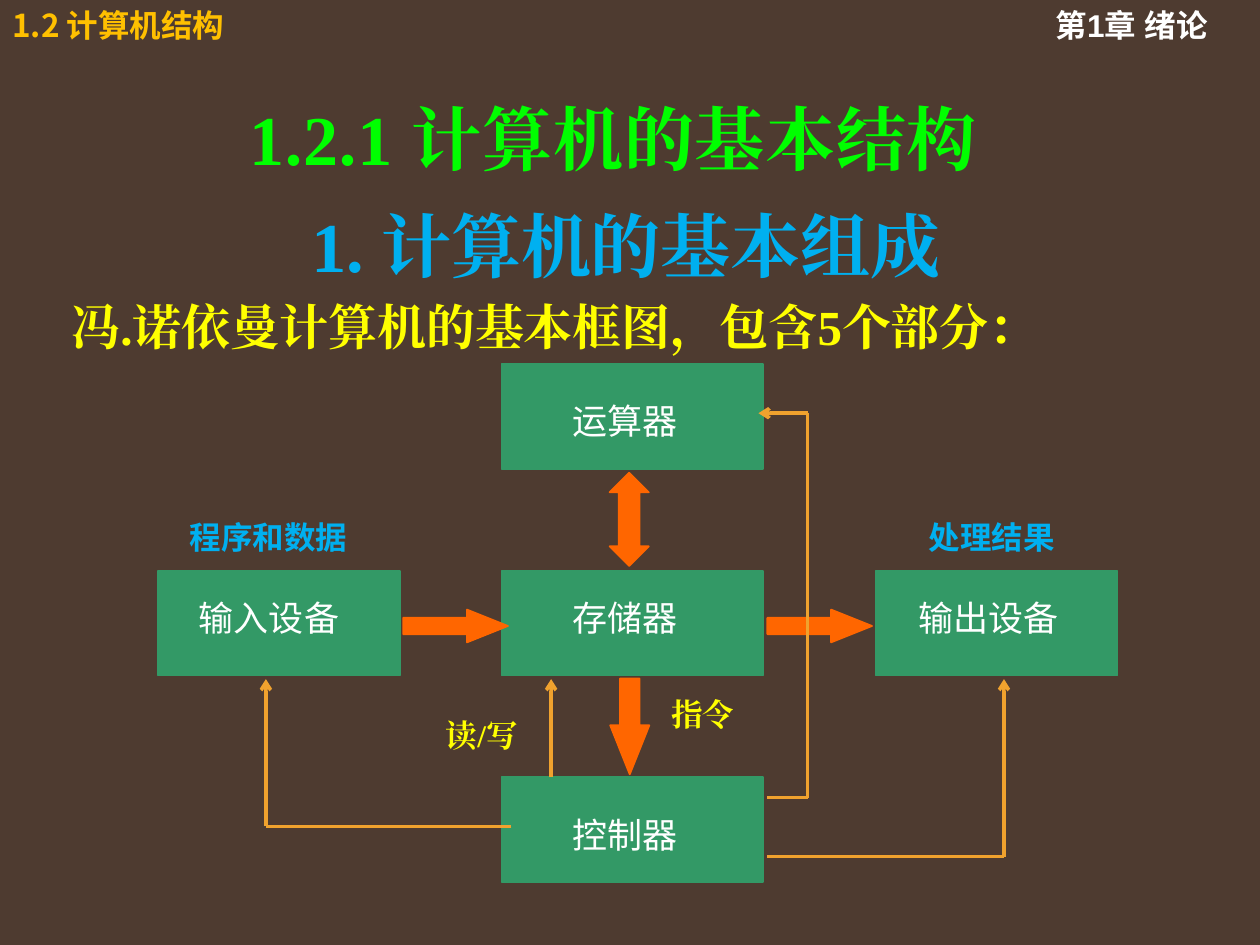
from dataclasses import dataclass
from typing import NamedTuple

from lxml.etree import SubElement
from pptx import Presentation
from pptx.dml.color import RGBColor
from pptx.enum.shapes import MSO_CONNECTOR, MSO_SHAPE
from pptx.enum.text import MSO_ANCHOR, PP_ALIGN
from pptx.oxml.ns import qn
from pptx.slide import Slide
from pptx.text.text import _Paragraph as Paragraph
from pptx.util import Cm, Pt


@dataclass(frozen=True)
class Theme:
    background: str = "4E3B30"
    box: str = "339966"
    block_arrow: str = "FF6600"
    control_line: str = "F0A22E"
    white: str = "FFFFFF"
    gold: str = "FFC000"
    green: str = "00FF00"
    blue: str = "00B0F0"
    yellow: str = "FFFF00"
    sans: str = "Noto Sans CJK SC"
    arial: str = "Arial"
    serif: str = "Times New Roman"
    title_size: int = 40
    lead_size: int = 28
    box_size: int = 20
    label_size: int = 18


THEME = Theme()


class Frame(NamedTuple):
    """Left, top, width and height in centimetres."""
    left: float
    top: float
    width: float
    height: float

    def lengths(self) -> list[Cm]:
        return [Cm(value) for value in self]


class Line(NamedTuple):
    text: str
    size: int
    font: str
    color: str
    bold: bool = True
    align: PP_ALIGN = PP_ALIGN.LEFT
    space_before: float = 0
    tracking: float = 0


class TextBox(NamedTuple):
    frame: Frame
    lines: list[Line]
    anchor: MSO_ANCHOR = MSO_ANCHOR.TOP


class Block(NamedTuple):
    frame: Frame
    color: str
    kind: MSO_SHAPE = MSO_SHAPE.RECTANGLE
    adjustments: tuple[float, ...] = ()
    rotation: int = 0


class Route(NamedTuple):
    """Corner points of a control line; its arrowhead is at the last one."""
    points: list[tuple[float, float]]


def add_block(slide: Slide, block: Block) -> None:
    shape = slide.shapes.add_shape(block.kind, *block.frame.lengths())
    shape.shadow.inherit = False
    shape.rotation = block.rotation
    for index, value in enumerate(block.adjustments):
        shape.adjustments[index] = value
    color = RGBColor.from_string(block.color)
    shape.fill.solid()
    shape.fill.fore_color.rgb = color
    shape.line.color.rgb = color
    shape.line.width = Pt(1)


def write_line(paragraph: Paragraph, line: Line) -> None:
    paragraph.alignment = line.align
    if line.space_before:
        paragraph.space_before = Pt(line.space_before)
    run = paragraph.add_run()
    run.text = line.text
    run.font.size = Pt(line.size)
    run.font.bold = line.bold
    run.font.color.rgb = RGBColor.from_string(line.color)
    run.font.name = line.font
    properties = run._r.get_or_add_rPr()
    SubElement(properties, qn("a:ea")).set("typeface", line.font)
    if line.tracking:
        properties.set("spc", str(round(line.tracking * 100)))


def add_text_box(slide: Slide, box: TextBox) -> None:
    text_frame = slide.shapes.add_textbox(*box.frame.lengths()).text_frame
    text_frame.word_wrap = True
    text_frame.vertical_anchor = box.anchor
    for index, line in enumerate(box.lines):
        paragraph = text_frame.add_paragraph() if index else text_frame.paragraphs[0]
        write_line(paragraph, line)


def add_route(slide: Slide, route: Route) -> None:
    for start, end in zip(route.points, route.points[1:]):
        connector = slide.shapes.add_connector(
            MSO_CONNECTOR.STRAIGHT, *(Cm(value) for value in start + end))
        connector.line.color.rgb = RGBColor.from_string(THEME.control_line)
        connector.line.width = Pt(2)
        if end == route.points[-1]:
            SubElement(connector.line._get_or_add_ln(), qn("a:tailEnd")).set("type", "arrow")
        SubElement(connector._element.spPr, qn("a:effectLst"))


def box_name(frame: Frame, text: str, align: PP_ALIGN = PP_ALIGN.LEFT) -> TextBox:
    return TextBox(frame, [Line(text, THEME.box_size, THEME.sans, THEME.white, False, align)])


def label(left: float, top: float, width: float, text: str, font: str, color: str) -> TextBox:
    return TextBox(Frame(left, top, width, 1.02), [Line(text, THEME.label_size, font, color)])


CENTER_LEFT, CENTER_WIDTH = 10.11, 5.28
SIDE_WIDTH, BOX_HEIGHT = 4.88, 2.11
TOP_ROW, MIDDLE_ROW, BOTTOM_ROW = 7.34, 11.51, 15.67
NAME_TOP, ARROW_END = 11.91, 13.69

BOXES = [
    Block(Frame(CENTER_LEFT, top, CENTER_WIDTH, BOX_HEIGHT), THEME.box)
    for top in (TOP_ROW, MIDDLE_ROW, BOTTOM_ROW)
] + [
    Block(Frame(left, MIDDLE_ROW, SIDE_WIDTH, BOX_HEIGHT), THEME.box)
    for left in (3.18, 17.65)
]

DATA_ARROWS = [
    Block(Frame(left, 12.29, 2.11, 0.66), THEME.block_arrow, MSO_SHAPE.RIGHT_ARROW, (0.5, 1.25))
    for left in (8.13, 15.47)
] + [
    Block(Frame(12.29, 9.53, 0.79, 1.88), THEME.block_arrow, MSO_SHAPE.UP_DOWN_ARROW, (0.5, 0.53)),
    Block(Frame(11.73, 14.25, 1.93, 0.79), THEME.block_arrow, MSO_SHAPE.RIGHT_ARROW,
          (0.5, 1.25), 90),
]

TEXT_BOXES = [
    label(0, 0, 5.94, "1.2 计算机结构", THEME.sans, THEME.gold),
    label(21.03, 0, 4.37, "第1章 绪论", THEME.arial, THEME.white),
    TextBox(Frame(1.57, 1.19, 21.59, 3.18), [
        Line("1.2.1 计算机的基本结构", THEME.title_size, THEME.serif, THEME.green,
             align=PP_ALIGN.CENTER, tracking=0.5),
    ], MSO_ANCHOR.MIDDLE),
    TextBox(Frame(1.19, 3.96, 22.86, 13.77), [
        Line("1. 计算机的基本组成", THEME.title_size, THEME.serif, THEME.blue,
             align=PP_ALIGN.CENTER),
        Line("冯.诺依曼计算机的基本框图，包含5个部分：", THEME.lead_size, THEME.serif,
             THEME.yellow, space_before=0.2 * THEME.lead_size),
    ]),
    box_name(Frame(10.92, 7.92, 3.38, 1.27), "运算器", PP_ALIGN.CENTER),
    box_name(Frame(11.3, NAME_TOP, 3.38, 1.27), "存储器"),
    box_name(Frame(11.3, 16.28, 2.97, 1.04), "控制器"),
    box_name(Frame(3.76, NAME_TOP, 3.58, 1.27), "输入设备"),
    box_name(Frame(18.26, NAME_TOP, 4.01, 1.27), "输出设备"),
    label(8.74, 14.3, 2.39, "读/写", THEME.serif, THEME.yellow),
    label(13.28, 13.89, 2.39, "指令", THEME.serif, THEME.yellow),
    label(3.58, 10.31, 4.17, "程序和数据", THEME.sans, THEME.blue),
    label(18.47, 10.31, 3.58, "处理结果", THEME.sans, THEME.blue),
]

CONTROL_ROUTES = [
    Route([(11.11, BOTTOM_ROW), (11.11, ARROW_END)]),
    Route([(15.47, 16.08), (16.28, 16.08), (16.28, 8.33), (15.29, 8.33)]),
    Route([(10.31, 16.66), (5.36, 16.66), (5.36, ARROW_END)]),
    Route([(15.47, 17.27), (20.24, 17.27), (20.24, ARROW_END)]),
]


def main() -> None:
    presentation = Presentation()
    presentation.slide_width, presentation.slide_height = Cm(25.4), Cm(19.05)
    slide = presentation.slides.add_slide(presentation.slide_layouts[6])
    slide.background.fill.solid()
    slide.background.fill.fore_color.rgb = RGBColor.from_string(THEME.background)
    for block in BOXES + DATA_ARROWS:
        add_block(slide, block)
    for box in TEXT_BOXES:
        add_text_box(slide, box)
    for route in CONTROL_ROUTES:
        add_route(slide, route)
    presentation.save("out.pptx")


if __name__ == "__main__":
    main()
